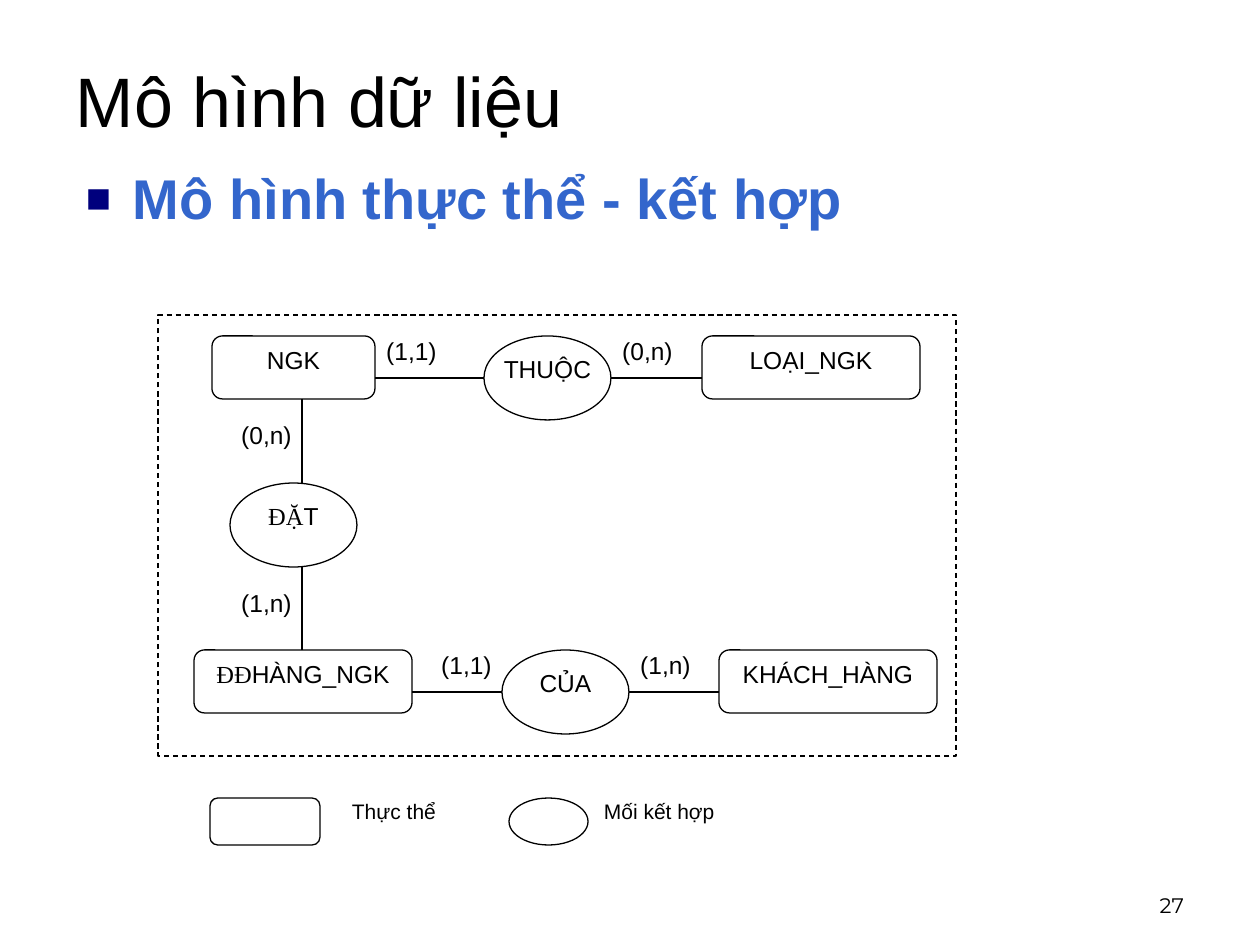
from lxml import etree
from pptx import Presentation
from pptx import util as u
from pptx.dml.color import RGBColor
from pptx.enum import dml, shapes, text
from pptx.oxml.ns import qn

BLACK = RGBColor(0x00, 0x00, 0x00)
WHITE = RGBColor(0xFF, 0xFF, 0xFF)
BLUE = RGBColor(0x33, 0x66, 0xCC)
NAVY = RGBColor(0x00, 0x00, 0x7D)
SERIF = "Times New Roman"
LEFT, CENTER, RIGHT = text.PP_ALIGN.LEFT, text.PP_ALIGN.CENTER, text.PP_ALIGN.RIGHT
TOP, MIDDLE, BOTTOM = (text.MSO_ANCHOR.TOP, text.MSO_ANCHOR.MIDDLE,
                       text.MSO_ANCHOR.BOTTOM)
ROUND = shapes.MSO_SHAPE.ROUNDED_RECTANGLE
OVAL = shapes.MSO_SHAPE.OVAL
RECT = shapes.MSO_SHAPE.RECTANGLE


def px(n):
    return u.Emu(n * 914400 // 126)


class Deck:
    """Holds the style and the current slide."""
    font = {"name": "Arial", "size": 14, "bold": False, "color": BLACK}

    def __init__(self, width, height):
        self.prs = Presentation()
        self.prs.slide_width, self.prs.slide_height = px(width), px(height)
        self.s = self.prs.slides.add_slide(self.prs.slide_layouts[5])

    def set_text(self, sp, runs, align=LEFT, anchor=TOP, inset=(13, 6), **fmt):
        """Fill a shape with one paragraph; a run is a string or (string, font)."""
        tf = sp.text_frame
        x, y = map(px, inset)
        frame = {"word_wrap": True, "auto_size": text.MSO_AUTO_SIZE.NONE,
                 "vertical_anchor": anchor, "margin_left": x, "margin_right": x,
                 "margin_top": y, "margin_bottom": y}
        for key, value in frame.items():
            setattr(tf, key, value)
        p = tf.paragraphs[0]
        p.alignment = align
        for run in [runs] if isinstance(runs, str) else runs:
            words, own = (run, {}) if isinstance(run, str) else (run[0], {"name": run[1]})
            r = p.add_run()
            r.text = words
            style = {**self.font, **fmt, **own}
            r.font.color.rgb = style.pop("color")
            style["size"] = u.Pt(style["size"])
            for key, value in style.items():
                setattr(r.font, key, value)
        return p

    def title(self, box, words, **fmt):
        sp = self.s.shapes.title
        sp.left, sp.top, sp.width, sp.height = map(px, box)
        self.set_text(sp, words, anchor=MIDDLE, **fmt)

    def label(self, box, words, **fmt):
        return self.set_text(self.s.shapes.add_textbox(*map(px, box)), words, **fmt)

    def bullet(self, box, words, **fmt):
        p = self.label(box, words, **fmt)
        pPr = p._p.get_or_add_pPr()
        pPr.set("marL", str(px(47)))
        pPr.set("indent", str(-px(47)))
        color = etree.SubElement(pPr, qn("a:buClr"))
        etree.SubElement(color, qn("a:srgbClr"), val=str(NAVY))
        etree.SubElement(pPr, qn("a:buSzPct"), val="75000")
        etree.SubElement(pPr, qn("a:buFont"), typeface="Arial")
        etree.SubElement(pPr, qn("a:buChar"), char="■")

    def shape(self, kind, box, words=None, fill=WHITE, dash=None, **fmt):
        sp = self.s.shapes.add_shape(kind, *map(px, box))
        sp.shadow.inherit = False
        if fill is None:
            sp.fill.background()
        else:
            sp.fill.solid()
            sp.fill.fore_color.rgb = fill
        self.stroke(sp.line)
        if dash:
            sp.line.dash_style = dash
        if words:
            self.set_text(sp, words, align=CENTER, **fmt)

    def line(self, *ends):
        c = self.s.shapes.add_connector(shapes.MSO_CONNECTOR.STRAIGHT, *map(px, ends))
        self.stroke(c.line)
        etree.SubElement(c._element.spPr, qn("a:effectLst"))

    def stroke(self, line):
        line.color.rgb = BLACK
        line.width = u.Pt(0.75)


def main():
    d = Deck(1260, 945)

    # Slide number, title and heading
    d.label((903, 861, 294, 63), "27", align=RIGHT, anchor=BOTTOM,
            name="Montserrat", size=12)
    d.title((63, 63, 1134, 73), "Mô hình dữ liệu", size=40)
    d.bullet((73, 158, 1134, 116), "Mô hình thực thể - kết hợp",
             size=32, bold=True, color=BLUE)

    # Entities
    upper, lower = 336, 650
    for x, y, w, words in [
            (212, upper, 163, "NGK"),
            (194, lower, 218, [("ĐĐ", SERIF), "HÀNG_NGK"]),
            (719, lower, 218, "KHÁCH_HÀNG"),
            (702, upper, 218, "LOẠI_NGK")]:
        d.shape(ROUND, (x, y, w, 63), words)

    # Relationships
    for x, y, words in [(230, 483, [("ĐẶ", SERIF), "T"]),
                        (484, upper, "THUỘC"), (502, lower, "CỦA")]:
        d.shape(OVAL, (x, y, 127, 84), words,
                inset=(0 if words == "THUỘC" else 13, 6))

    # Links
    for y1, y2 in [(399, 483), (567, lower)]:
        d.line(302, y1, 302, y2)
    for x1, x2, y in [(375, 484, upper), (611, 702, upper),
                      (412, 502, lower), (629, 719, lower)]:
        d.line(x1, y + 42, x2, y + 42)

    # Cardinalities
    for x, y, words in [(230, 420, "(0,n)"), (230, 588, "(1,n)"),
                        (375, upper, "(1,1)"), (611, upper, "(0,n)"),
                        (629, lower, "(1,n)"), (430, lower, "(1,1)")]:
        d.label((x, y, 73, 42), words, align=CENTER, inset=(0, 0))

    # Diagram frame
    d.shape(RECT, (158, 315, 798, 441), fill=None, dash=dml.MSO_LINE.DASH)

    # Legend
    for kind, x, w, text_x, text_w, words in [
            (ROUND, 210, 110, 352, 126, "Thực thể"),
            (OVAL, 509, 79, 604, 174, "Mối kết hợp")]:
        d.shape(kind, (x, 798, w, 47))
        d.label((text_x, 798, text_w, 32), words, inset=(0, 0), size=12)

    d.prs.save("out.pptx")


if __name__ == "__main__":
    main()
